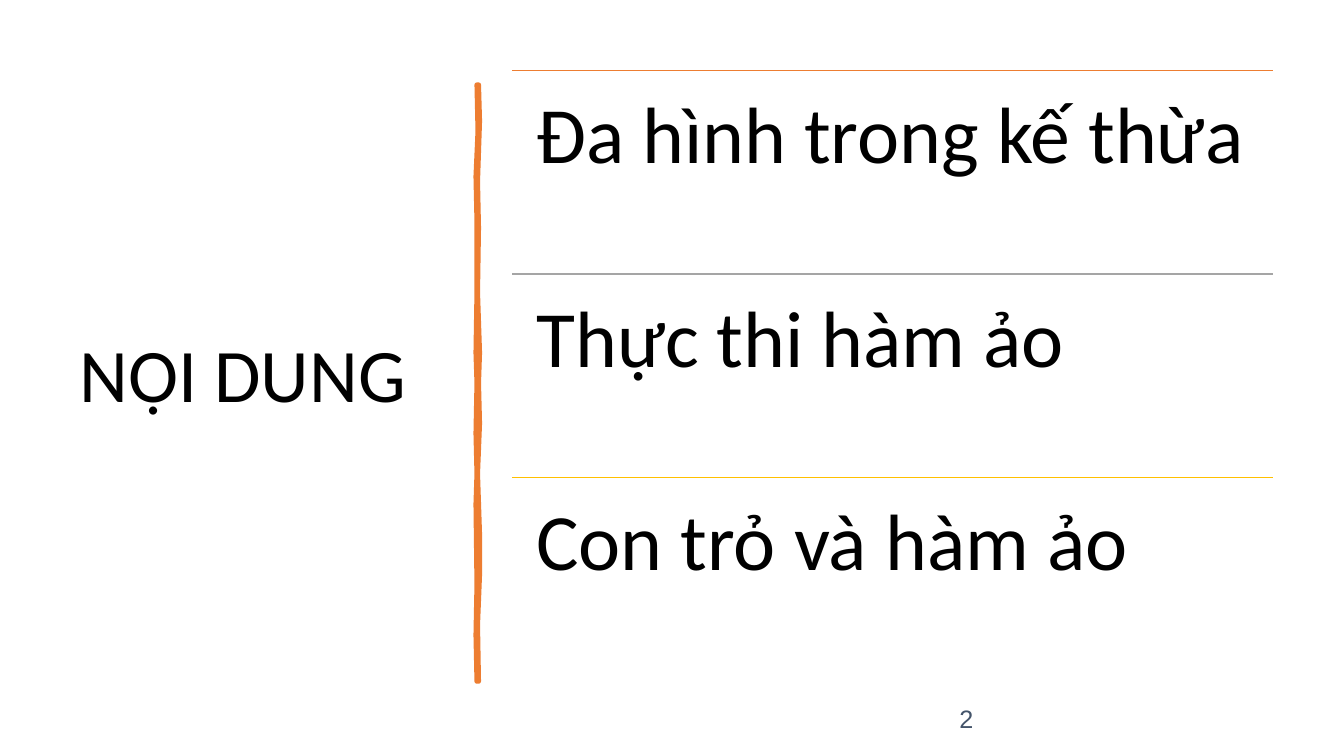
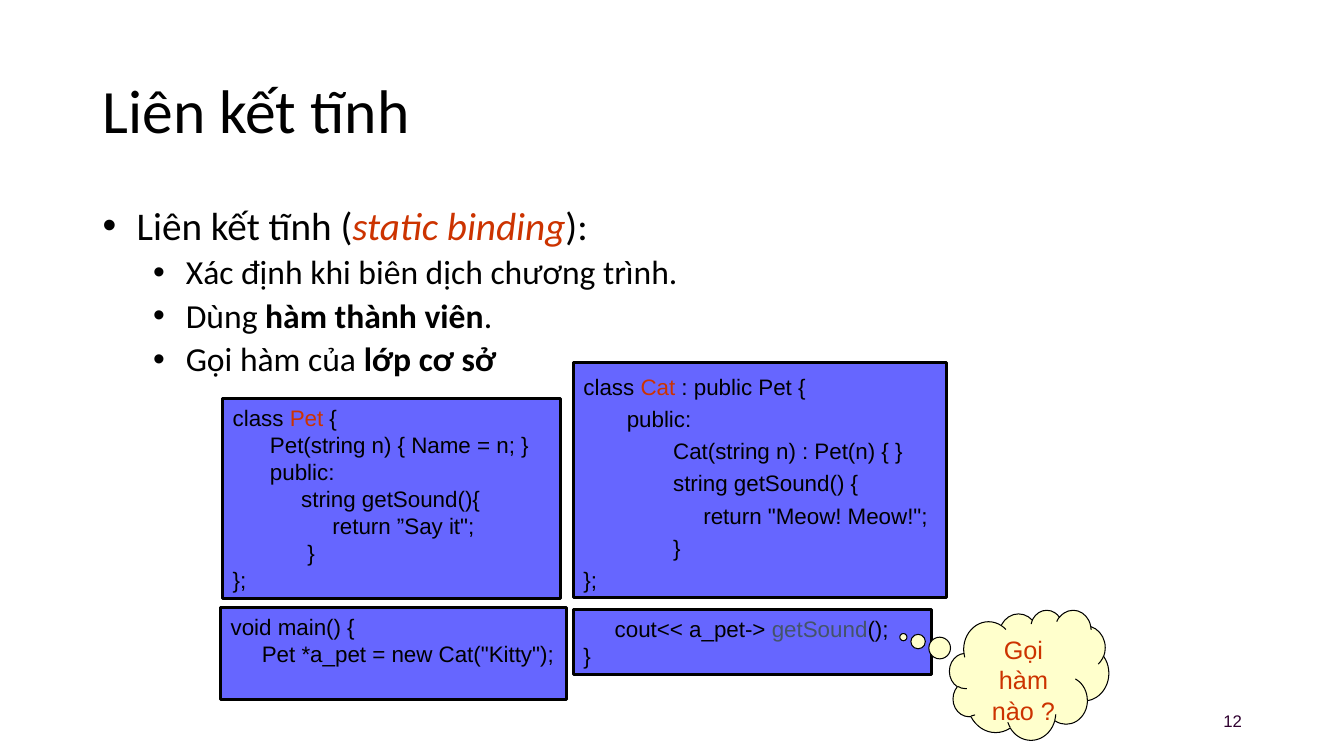
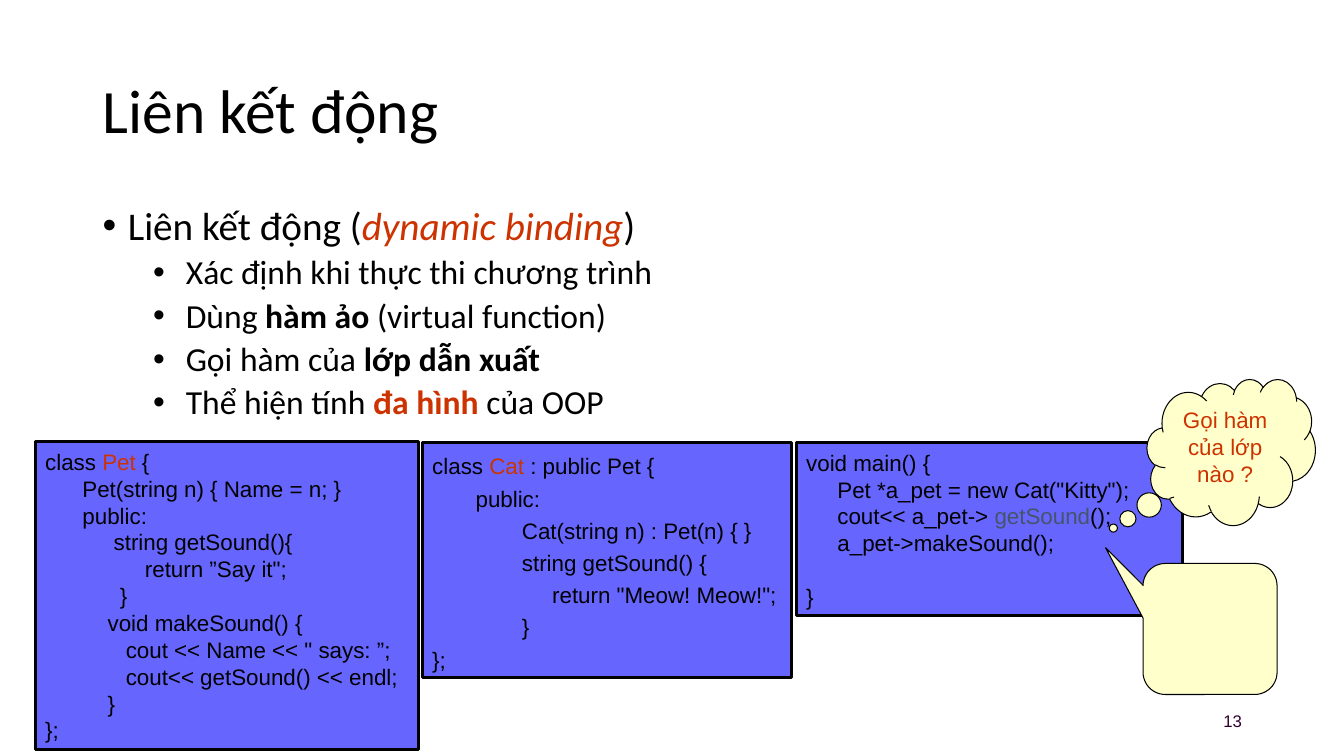
from dataclasses import dataclass, field
from typing import Any

from lxml import etree
from pptx import Presentation
from pptx.dml.color import RGBColor
from pptx.enum import shapes, text
from pptx.oxml import ns
from pptx.util import Emu, Inches, Pt

BLACK = RGBColor(0x00, 0x00, 0x00)
RED = RGBColor(0xCC, 0x33, 0x00)
SLATE = RGBColor(0x44, 0x54, 0x6A)
PLUM = RGBColor(0x30, 0x00, 0x30)
CODE_BLUE = RGBColor(0x66, 0x66, 0xFF)
CREAM = RGBColor(0xFF, 0xFF, 0xCC)
ORANGE = RGBColor(0xED, 0x7D, 0x31)
GREY = RGBColor(0xA5, 0xA5, 0xA5)
GOLD = RGBColor(0xFF, 0xC0, 0x00)

HEADING_FONT = "Calibri"
CODE_FONT = "Arial"
MIDDLE, TOP = text.MSO_ANCHOR.MIDDLE, text.MSO_ANCHOR.TOP
CENTER, RIGHT = text.PP_ALIGN.CENTER, text.PP_ALIGN.RIGHT
PAGE_BOX = (9.42, 6.95, 3, 0.4)


@dataclass(frozen=True)
class Run:
    text: str
    color: RGBColor = BLACK
    style: dict[str, bool] = field(default_factory=dict)


@dataclass(frozen=True)
class Para:
    """A paragraph; indent and hanging are in inches, format holds paragraph attributes."""
    runs: tuple[Run, ...]
    size: float
    font: str = HEADING_FONT
    indent: float = 0
    hanging: float = 0
    format: dict[str, Any] = field(default_factory=dict)


@dataclass(frozen=True)
class CodeBox:
    box: tuple[float, float, float, float]
    lines: tuple[Para, ...]
    spacing: float = 1.0
    anchor: text.MSO_ANCHOR = MIDDLE


@dataclass(frozen=True)
class Callout:
    kind: shapes.MSO_SHAPE
    box: tuple[float, float, float, float]
    adjustments: tuple[float, ...]
    paras: tuple[Para, ...] = ()


@dataclass(frozen=True)
class CodeSlide:
    title: str
    bullets: tuple[Para, ...]
    code_boxes: tuple[CodeBox, ...]
    callouts: tuple[Callout, ...]
    number: str


def set_all(target: Any, values: dict[str, Any]) -> None:
    for name, value in values.items():
        setattr(target, name, value)


def to_runs(parts: tuple[str | Run, ...]) -> tuple[Run, ...]:
    return tuple(Run(part) if isinstance(part, str) else part for part in parts)


def code(*parts: str | Run, indent: float = 0, **fmt: Any) -> Para:
    return Para(to_runs(parts), 16, CODE_FONT, indent, format=fmt)


def bullet(*parts: str | Run, top: bool = False) -> Para:
    return Para(to_runs(parts), 28 if top else 24, indent=0.25 if top else 0.75,
                hanging=0.25,
                format={"line_spacing": 0.9, "space_before": Pt(10 if top else 5)})


def bold(words: str, color: RGBColor = BLACK) -> Run:
    return Run(words, color, {"bold": True})


def term(words: str) -> Run:
    return Run(words, RED, {"italic": True})


def question(words: str, size: float) -> Para:
    return Para((Run(words, RED),), size, CODE_FONT)


def write(sp: Any, paras: tuple[Para, ...], anchor: text.MSO_ANCHOR = TOP,
          inset: float | None = None, **common: Any) -> None:
    """Fill a shape with paragraphs; common formats apply to every one of them."""
    tf = sp.text_frame
    set_all(tf, {"word_wrap": True, "vertical_anchor": anchor})
    if inset is not None:
        set_all(tf, {f"margin_{side}": Inches(inset)
                     for side in ("left", "top", "right", "bottom")})
    for i, para in enumerate(paras):
        p = tf.paragraphs[0] if i == 0 else tf.add_paragraph()
        set_all(p, {"alignment": text.PP_ALIGN.LEFT, **common, **para.format})
        props = p._p.get_or_add_pPr()
        props.set("marL", str(Inches(para.indent)))
        props.set("indent", str(-Inches(para.hanging)))
        if para.hanging:
            etree.SubElement(props, ns.qn("a:buFont")).set("typeface", "Arial")
            etree.SubElement(props, ns.qn("a:buChar")).set("char", "•")
        for run in para.runs:
            r = p.add_run()
            r.text = run.text
            set_all(r.font, {"name": para.font, "size": Pt(para.size), **run.style})
            r.font.color.rgb = run.color


def add_text(slide: Any, box: tuple[float, ...], *paras: Para, **options: Any) -> None:
    write(slide.shapes.add_textbox(*map(Inches, box)), paras, **options)


def paint(sp: Any, fill: RGBColor, line: RGBColor, line_width: float) -> None:
    sp.shadow.inherit = False
    sp.fill.solid()
    sp.fill.fore_color.rgb = fill
    sp.line.color.rgb = line
    sp.line.width = Pt(line_width)


def add_box(slide: Any, kind: shapes.MSO_SHAPE, box: tuple[float, ...],
            fill: RGBColor, line_width: float) -> Any:
    sp = slide.shapes.add_shape(kind, *map(Inches, box))
    paint(sp, fill, BLACK, line_width)
    return sp


def add_title(slide: Any, box: tuple[float, ...], words: str, size: float) -> None:
    add_text(slide, box, Para((Run(words),), size), anchor=MIDDLE, line_spacing=0.9)


def add_number(slide: Any, number: str, size: float, color: RGBColor, **fmt: Any) -> None:
    para = Para((Run(number, color),), size, CODE_FONT, format=fmt)
    add_text(slide, PAGE_BOX, para, anchor=MIDDLE)


def add_rule(slide: Any, left: float, right: float, y: float, color: RGBColor) -> None:
    rule = slide.shapes.add_connector(
        shapes.MSO_CONNECTOR.STRAIGHT, *map(Inches, (left, y, right, y)))
    rule.line.color.rgb = color
    rule.line.width = Pt(1)
    etree.SubElement(rule._element.spPr, ns.qn("a:effectLst"))


def add_brush_stroke(slide: Any) -> None:
    """Draw the hand-drawn vertical divider."""
    right_edge = [(4.75, 0.84), (4.76, 1.2), (4.74, 1.8), (4.75, 2.26), (4.74, 2.9),
                  (4.76, 3.5), (4.75, 3.8), (4.76, 4.2), (4.74, 4.7), (4.76, 5.3),
                  (4.76, 5.7), (4.74, 6.2), (4.75, 6.76)]
    left_edge = [(4.73, 6.76), (4.72, 6.3), (4.73, 5.8), (4.72, 5), (4.73, 4.7),
                 (4.72, 4.3), (4.73, 3.8), (4.72, 3.5), (4.73, 2.9), (4.73, 2.2),
                 (4.72, 1.75), (4.74, 1.3), (4.73, 0.84)]
    start, *rest = [(Inches(x), Inches(y)) for x, y in right_edge + left_edge]
    builder = slide.shapes.build_freeform(*start, scale=1.0)
    builder.add_line_segments(rest, close=True)
    sp = builder.convert_to_shape(Emu(0), Emu(0))
    paint(sp, ORANGE, ORANGE, 3.25)
    etree.SubElement(sp.line._get_or_add_ln(), ns.qn("a:round"))


def add_contents_slide(prs: Any) -> None:
    slide = prs.slides.add_slide(prs.slide_layouts[6])
    add_title(slide, (0.69, 0.7, 3.74, 6.1), "NỘI DUNG", 54)
    add_brush_stroke(slide)
    add_number(slide, "2", 18, SLATE, line_spacing=0.9)
    left, top, width, row = 5.08, 0.7, 7.55, 2.02
    topics = [("Đa hình trong kế thừa", ORANGE), ("Thực thi hàm ảo", GREY),
              ("Con trỏ và hàm ảo", GOLD)]
    for i, (topic, color) in enumerate(topics):
        y = top + i * row
        add_rule(slide, left, left + width, y, color)
        add_text(slide, (left, y, width, row), Para((Run(topic),), 57),
                 inset=0.24, line_spacing=0.9)


def add_code_slide(prs: Any, content: CodeSlide) -> None:
    slide = prs.slides.add_slide(prs.slide_layouts[6])
    add_title(slide, (0.92, 0.4, 11.5, 1.45), content.title, 44)
    add_text(slide, (0.92, 2, 11.5, 4.76), *content.bullets)
    add_number(slide, content.number, 12, PLUM, alignment=RIGHT)
    for item in content.code_boxes:
        sp = add_box(slide, shapes.MSO_SHAPE.RECTANGLE, item.box, CODE_BLUE, 2)
        write(sp, item.lines, anchor=item.anchor, line_spacing=item.spacing)
    for callout in content.callouts:
        sp = add_box(slide, callout.kind, callout.box, CREAM, 0.75)
        for i, value in enumerate(callout.adjustments):
            sp.adjustments[i] = value
        write(sp, callout.paras, alignment=CENTER)


CLOUD = shapes.MSO_SHAPE.CLOUD_CALLOUT
BALLOON = shapes.MSO_SHAPE.ROUNDED_RECTANGULAR_CALLOUT
END = code("};")
PET_START = (
    code("class ", Run("Pet", RED), " {"),
    code("Pet(string n) { Name = n; }", indent=0.37),
    code("public:", indent=0.37),
    code("string getSound(){", indent=0.68),
    code("return ”Say it\";", indent=0.99),
    code("}", indent=0.74),
)
PET_MAKE_SOUND = (
    code("void makeSound() {", indent=0.62),
    code("cout << Name << \" says: ”;", indent=0.8),
    code("cout<< getSound() << endl;", indent=0.8),
    code("}", indent=0.62),
)
CAT = (
    code("class ", Run("Cat", RED), " : public Pet {"),
    code("public:", indent=0.43),
    code("Cat(string n) : Pet(n) { }", indent=0.89),
    code("string getSound() {", indent=0.89),
    code("return \"Meow! Meow!\";", indent=1.19),
    code("}", indent=0.89),
    END,
)
MAIN_START = (
    code("void main() {"),
    code("Pet *a_pet = new Cat(\"Kitty\");", indent=0.31),
)
SOUND_CALL = code("cout<< a_pet->", Run(" getSound", SLATE), "();", indent=0.31)

STATIC_BINDING = CodeSlide(
    "Liên kết tĩnh",
    (bullet(" Liên kết tĩnh (", term("static binding"), "):", top=True),
     bullet(" Xác định khi biên dịch chương trình."),
     bullet(" Dùng ", bold("hàm thành viên"), "."),
     bullet(" Gọi hàm của ", bold("lớp cơ sở"))),
    (CodeBox((2.21, 3.95, 3.35, 1.99), PET_START + (END,)),
     CodeBox((5.69, 3.6, 3.7, 2.33), CAT, 1.2),
     CodeBox((2.19, 6.03, 3.43, 0.91), MAIN_START, anchor=TOP),
     CodeBox((5.69, 6.05, 3.55, 0.64), (SOUND_CALL, code("}")))),
    (Callout(CLOUD, (9.42, 6.05, 1.58, 1.29), (-0.79, -0.29),
             (question("Gọi hàm nào ?", 18),)),),
    "12",
)
DYNAMIC_BINDING = CodeSlide(
    "Liên kết động",
    (bullet("Liên kết động (", term("dynamic binding"), ")", top=True),
     bullet(" Xác định khi thực thi chương trình"),
     bullet(" Dùng ", bold("hàm ảo"), " (virtual function)"),
     bullet(" Gọi hàm của ", bold("lớp dẫn xuất")),
     bullet(" Thể hiện tính ", bold("đa hình ", RED), "của OOP")),
    (CodeBox((0.35, 4.38, 3.8, 3.06), PET_START + PET_MAKE_SOUND + (END,)),
     CodeBox((4.19, 4.39, 3.66, 2.33), CAT, 1.2),
     CodeBox((7.9, 4.39, 3.83, 1.72),
             MAIN_START + (SOUND_CALL, code("a_pet->makeSound();", indent=0.31),
                           code("}", space_before=Pt(19))))),
    (Callout(CLOUD, (11.38, 3.76, 1.67, 1.45), (-0.7, 0.52),
             (question("Gọi hàm của lớp nào ?", 16),)),
     Callout(BALLOON, (11.34, 5.59, 1.33, 1.3), (-0.78, -0.62, 0.17))),
    "13",
)


def main() -> None:
    prs = Presentation()
    prs.slide_width, prs.slide_height = Inches(40 / 3), Inches(7.5)
    add_contents_slide(prs)
    for content in (STATIC_BINDING, DYNAMIC_BINDING):
        add_code_slide(prs, content)
    prs.save("out.pptx")


if __name__ == "__main__":
    main()
